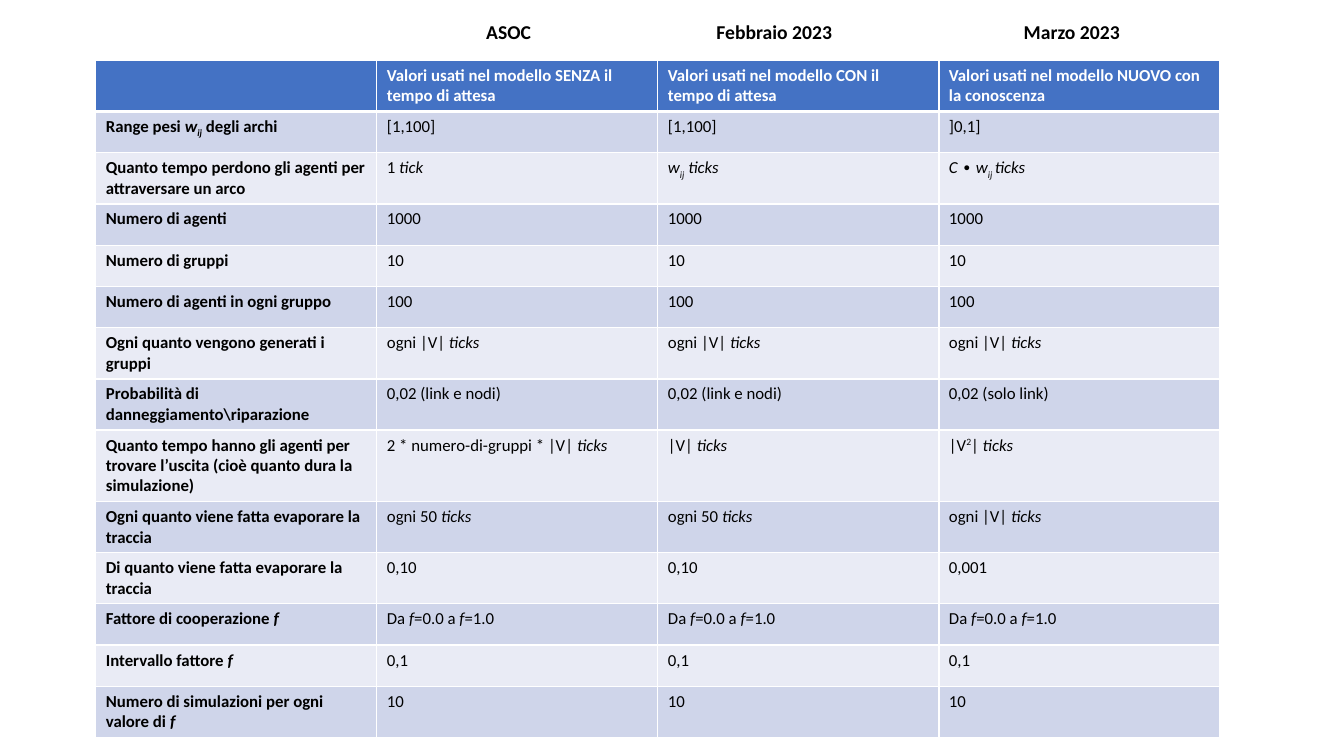
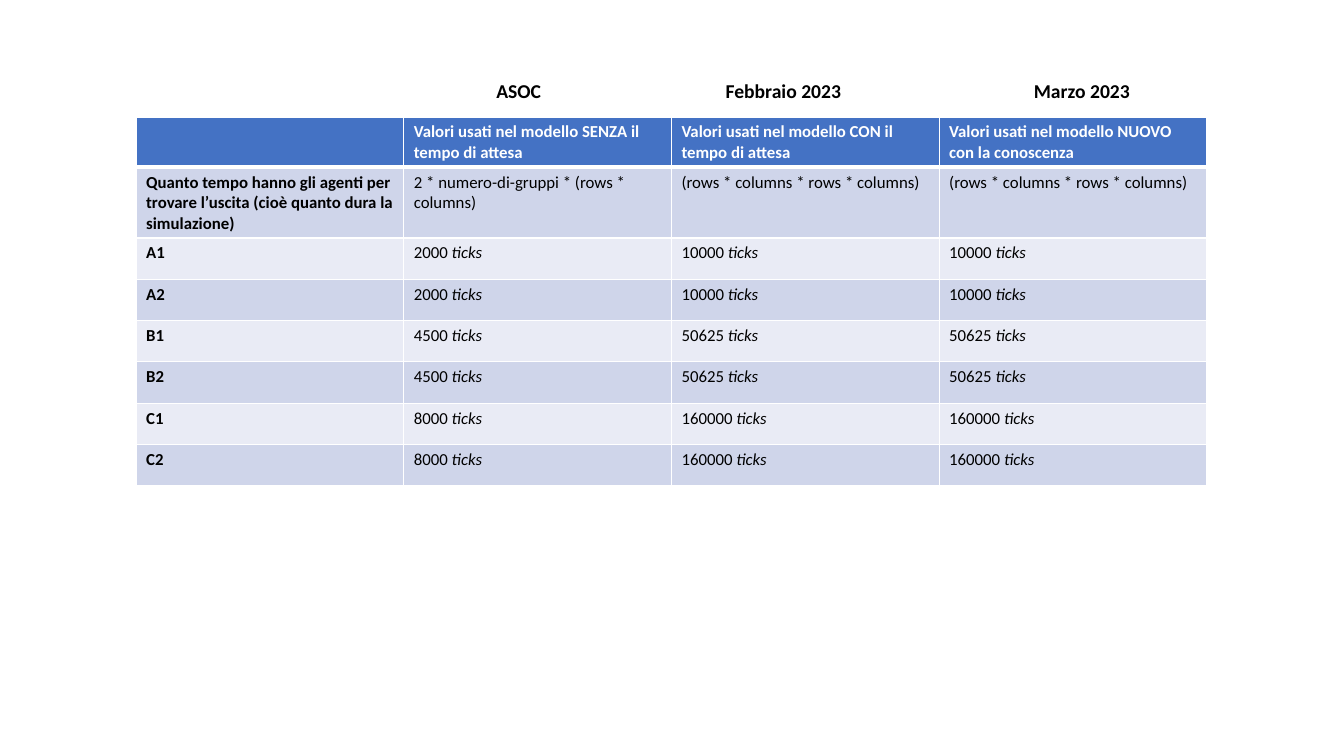
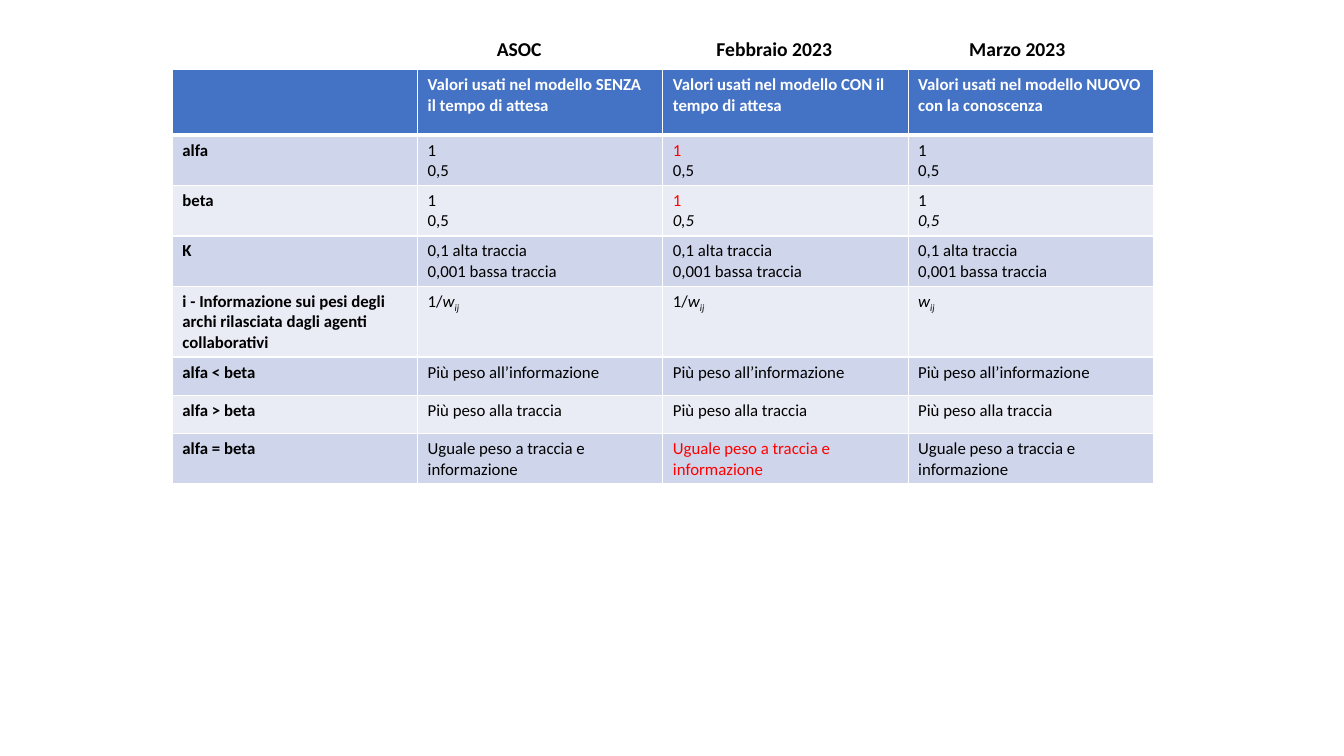
"""Build three slides of tables comparing the parameters of three simulation models."""
from lxml.etree import SubElement
from pptx import Presentation
from pptx.dml.color import RGBColor
from pptx.enum.text import MSO_AUTO_SIZE as AutoSize, PP_ALIGN as Align
from pptx.oxml.ns import qn
from pptx.util import Inches, Pt

FONT = "Calibri"
WHITE, BLACK, RED = "FFFFFF", "000000", "FF0000"
HEADER_BLUE, BAND_DARK, BAND_LIGHT = "4472C4", "CFD5EA", "E9EBF5"
PERIODS = ["ASOC", "Febbraio 2023", "Marzo 2023"]
HEADER = (
    "",
    "Valori usati nel modello SENZA il tempo di attesa",
    "Valori usati nel modello CON il tempo di attesa",
    "Valori usati nel modello NUOVO con la conoscenza",
)
DURATION = "Quanto tempo hanno gli agenti per trovare l’uscita (cioè quanto dura la simulazione)"


def color(value):
    return RGBColor.from_string(value)


def write_line(paragraph, line, ink, bold):
    """Write a line where _ marks italics, ~ subscript, ^ superscript and a leading ! red."""
    if line.startswith("!"):
        line, ink = line[1:], RED
    for i, slanted in enumerate(line.split("_")):
        for j, lowered in enumerate(slanted.split("~")):
            for k, part in enumerate(lowered.split("^")):
                if not part:
                    continue
                run = paragraph.add_run()
                run.text = part
                run.font.name, run.font.size = FONT, Pt(12)
                run.font.bold, run.font.italic = bold, i % 2 == 1
                run.font.color.rgb = color(ink)
                if j % 2 or k % 2:
                    run._r.get_or_add_rPr().set("baseline", "-25000" if j % 2 else "30000")


parameters = [
    ("Range pesi _w~ij~_ degli archi", "[1,100]", "[1,100]", "]0,1]"),
    ("Quanto tempo perdono gli agenti per attraversare un arco",
     "1 _tick_", "_w~ij~ ticks_", "_C ∙ w~ij ~ticks_"),
    ("Numero di agenti", "1000"),
    ("Numero di gruppi", "10"),
    ("Numero di agenti in ogni gruppo", "100"),
    ("Ogni quanto vengono generati i gruppi", "ogni |V| _ticks_"),
    ("Probabilità di danneggiamento\\riparazione",
     "0,02 (link e nodi)", "0,02 (link e nodi)", "0,02 (solo link)"),
    (DURATION, "2 * numero-di-gruppi * |V| _ticks_", "|V| _ticks_", "|V^2^| _ticks_"),
    ("Ogni quanto viene fatta evaporare la traccia",
     "ogni 50 _ticks_", "ogni 50 _ticks_", "ogni |V| _ticks_"),
    ("Di quanto viene fatta evaporare la traccia", "0,10", "0,10", "0,001"),
    ("Fattore di cooperazione _f_", "Da _f_=0.0 a_ f_=1.0"),
    ("Intervallo fattore _f_", "0,1"),
    ("Numero di simulazioni per ogni valore di _f_", "10"),
]

all_cells = "(rows * columns * rows * columns)"
durations = [(DURATION, "2 * numero-di-gruppi * (rows * columns)", all_cells, all_cells)]
for series, short, long in [("A", 2000, 10000), ("B", 4500, 50625), ("C", 8000, 160000)]:
    for number in (1, 2):
        durations.append(
            (f"{series}{number}", f"{short} _ticks_", f"{long} _ticks_", f"{long} _ticks_"))

equal_weight = "Uguale peso a traccia e informazione"
weights = [
    ("alfa", "1\n0,5", "!1\n0,5", "1\n0,5"),
    ("beta", "1\n0,5", "!1\n_0,5_", "1\n_0,5_"),
    ("K", "0,1 alta traccia\n0,001 bassa traccia"),
    ("i - Informazione sui pesi degli archi rilasciata dagli agenti collaborativi",
     "1/_w~ij~_", "1/_w~ij~_", "_w~ij~_"),
    ("alfa < beta", "Più peso all’informazione"),
    ("alfa > beta", "Più peso alla traccia"),
    ("alfa = beta", equal_weight, "!" + equal_weight, equal_weight),
]

pages = [
    (parameters, (0.95, 0.6, 11.15), [0.41] * 14,
     0.15, [(3.84, 2.41), (6.67, 2.02), (9.62, 2.02)]),
    (durations, (1.35, 1.16, 10.62), [0.41, 0.47] + [0.41] * 6,
     0.73, [(3.94, 2.41), (6.76, 2.02), (9.72, 2.02)]),
    (weights, (1.71, 0.69, 9.73), [0.65, 0.41, 0.47, 0.47, 0.65, 0.38, 0.38, 0.47],
     0.32, [(4.26, 1.78), (6.67, 2.02), (9.08, 2.02)]),
]

deck = Presentation()
deck.slide_width, deck.slide_height = Inches(13.33), Inches(7.5)

for body, (left, top, width), heights, period_top, period_spans in pages:
    slide = deck.slides.add_slide(deck.slide_layouts[6])
    grid = slide.shapes.add_table(
        len(heights), 4, Inches(left), Inches(top), Inches(width), Inches(sum(heights))).table

    for r, (label, *values) in enumerate([HEADER] + body):
        grid.rows[r].height = Inches(heights[r])
        if len(values) == 1:
            values = values * 3
        for c, text in enumerate([label] + values):
            cell = grid.cell(r, c)
            borders = cell._tc.get_or_add_tcPr()
            for side in "LRTB":
                thick = (r, side) in [(0, "B"), (1, "T")]
                border = SubElement(borders, qn(f"a:ln{side}"), w=str(Pt(3 if thick else 1)))
                SubElement(SubElement(border, qn("a:solidFill")), qn("a:srgbClr"), val=WHITE)
            cell.fill.solid()
            band = BAND_DARK if r % 2 else BAND_LIGHT
            cell.fill.fore_color.rgb = color(band if r else HEADER_BLUE)
            for n, line in enumerate(text.split("\n")):
                frame = cell.text_frame
                paragraph = frame.add_paragraph() if n else frame.paragraphs[0]
                write_line(paragraph, line, BLACK if r else WHITE, r == 0 or c == 0)

    for period, (period_left, period_width) in zip(PERIODS, period_spans):
        caption = slide.shapes.add_textbox(
            Inches(period_left), Inches(period_top), Inches(period_width), Inches(0.34)).text_frame
        caption.word_wrap = True
        caption.auto_size = AutoSize.SHAPE_TO_FIT_TEXT
        caption.text = period
        caption.paragraphs[0].alignment = Align.CENTER
        font = caption.paragraphs[0].runs[0].font
        font.name, font.size, font.bold = FONT, Pt(14), True
        font.color.rgb = color(BLACK)

deck.save("out.pptx")
